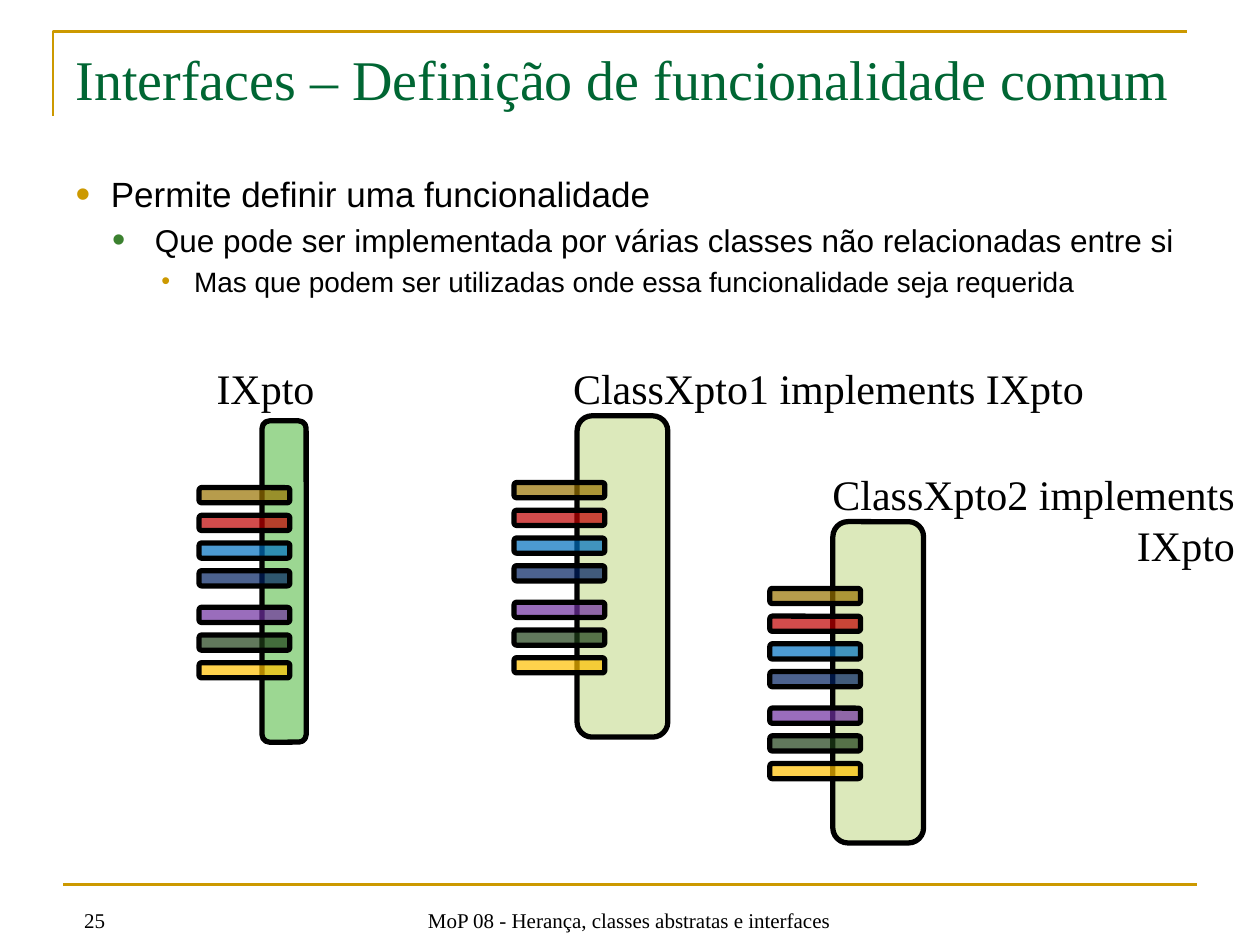
from lxml.etree import SubElement
from pptx import Presentation
from pptx.dml.color import RGBColor
from pptx.enum.shapes import MSO_CONNECTOR, MSO_SHAPE
from pptx.enum.text import MSO_ANCHOR, MSO_AUTO_SIZE, PP_ALIGN
from pptx.oxml.ns import qn
from pptx.util import Emu, Inches, Pt

SERIF, SANS = "Times New Roman", "Arial"
BLACK = RGBColor(0x00, 0x00, 0x00)
GOLD = RGBColor(0xCC, 0x99, 0x00)
TITLE_GREEN = RGBColor(0x00, 0x66, 0x33)
BULLET_GREEN = RGBColor(0x3B, 0x81, 0x2F)
INTERFACE_GREEN = RGBColor(0x73, 0xC7, 0x64)
CLASS_GREEN = RGBColor(0xCE, 0xE1, 0x9F)
METHOD_COLORS = [RGBColor.from_string(code) for code in (
    "997300", "C00000", "0070C0", "002060", "7030A0", "1E4018", "FFC000")]

# Method bars, measured from the top left corner of their block
BAR_WIDTH, BAR_HEIGHT = 0.72, 0.12
BAR_LEFT, BAR_TOP, BAR_PITCH = -0.5, 0.53, 0.22
GROUP_GAP, FIRST_GROUP = 0.07, 4

presentation = Presentation()
presentation.slide_width, presentation.slide_height = Inches(10), Inches(7.5)
slide = presentation.slides.add_slide(presentation.slide_layouts[1])


def place(part, box):
    part.left, part.top, part.width, part.height = (Inches(n) for n in box)


def write(frame, lines, size, color=BLACK, font=SERIF, align=PP_ALIGN.LEFT,
          anchor=MSO_ANCHOR.TOP, wrap=True):
    frame.text = "\n".join(lines)
    frame.auto_size = MSO_AUTO_SIZE.NONE
    frame.word_wrap = wrap
    frame.vertical_anchor = anchor
    for paragraph in frame.paragraphs:
        paragraph.alignment = align
        for run in paragraph.runs:
            run.font.size, run.font.name = Pt(size), font
            run.font.color.rgb = color


def add_label(box, lines, size=24, **style):
    label = slide.shapes.add_textbox(*(Inches(n) for n in box))
    write(label.text_frame, lines, size, **style)


def set_bullet(paragraph, left, hanging, color, percent):
    properties = paragraph._p.get_or_add_pPr()
    properties.set("marL", str(Inches(left)))
    properties.set("indent", str(-Inches(hanging)))
    bullet_color = SubElement(properties, qn("a:buClr"))
    SubElement(bullet_color, qn("a:srgbClr"), val=str(color))
    SubElement(properties, qn("a:buSzPct"), val=str(percent * 1000))
    SubElement(properties, qn("a:buFont"), typeface=SANS)
    SubElement(properties, qn("a:buChar"), char="•")


def add_frame(box):
    """Corner rule above the title."""
    left, top, width, height = (Inches(n) for n in box)
    builder = slide.shapes.build_freeform(left, top + height)
    builder.add_line_segments([(left, top), (left + width, top)], close=False)
    corner = builder.convert_to_shape()
    corner.shadow.inherit = False
    corner.fill.background()
    corner.line.color.rgb, corner.line.width = GOLD, Pt(1.5)


def add_footer(left, top, width):
    """Rule, page number and course name."""
    rule = slide.shapes.add_connector(
        MSO_CONNECTOR.STRAIGHT, Inches(left), Inches(top),
        Inches(left + width), Inches(top))
    rule.line.color.rgb, rule.line.width = GOLD, Pt(1.5)
    SubElement(rule._element.spPr, qn("a:effectLst"))
    add_label((left + 0.07, top + 0.13, 0.38, 0.3), ["25"], 12, wrap=False)
    add_label((left + 2.58, top + 0.08, 3.83, 0.35),
              ["MoP 08 - Herança, classes abstratas e interfaces"], 12,
              align=PP_ALIGN.CENTER, anchor=MSO_ANCHOR.BOTTOM)


def add_title(box):
    title = slide.shapes.title
    place(title, box)
    write(title.text_frame,
          ["Interfaces – Definição de funcionalidade comum"], 32, TITLE_GREEN)


def add_points(box):
    points = [
        ("Permite definir uma funcionalidade", 20, 0.28, 0.31, GOLD, 120),
        ("Que pode ser implementada por várias classes não relacionadas "
         "entre si", 18, 0.63, 0.34, BULLET_GREEN, 120),
        ("Mas que podem ser utilizadas onde essa funcionalidade seja "
         "requerida", 16, 0.94, 0.26, GOLD, 90),
    ]
    body = slide.placeholders[1]
    place(body, box)
    write(body.text_frame, [point[0] for point in points], 20, font=SANS)
    for level, (paragraph, point) in enumerate(
            zip(body.text_frame.paragraphs, points)):
        _, size, left, hanging, color, percent = point
        paragraph.level = level
        paragraph.space_before = Pt(size * 0.2)
        paragraph.runs[0].font.size = Pt(size)
        set_bullet(paragraph, left, hanging, color, percent)


def add_block(box, color):
    block = slide.shapes.add_shape(
        MSO_SHAPE.ROUNDED_RECTANGLE, *(Inches(n) for n in box))
    block.shadow.inherit = False
    block.fill.solid()
    block.fill.fore_color.rgb = color
    fill_color = block._element.spPr.find(".//" + qn("a:srgbClr"))
    SubElement(fill_color, qn("a:alpha"), val="70000")
    block.line.color.rgb, block.line.width = BLACK, Pt(3)


def add_type(left, top, width, color):
    """A type's block with the methods of the interface across its edge."""
    add_block((left, top, width, 2.55), color)
    for row, method_color in enumerate(METHOD_COLORS):
        gap = GROUP_GAP if row >= FIRST_GROUP else 0
        add_block((left + BAR_LEFT, top + BAR_TOP + row * BAR_PITCH + gap,
                   BAR_WIDTH, BAR_HEIGHT), method_color)


add_footer(0.5, 7.02, 9)
add_frame((0.42, 0.25, 9, 0.67))
add_title((0.5, 0.3, 9, 0.85))
add_points((0.5, 1.32, 9, 5.43))

# Two classes and the interface they share
add_type(4.58, 3.3, 0.72, CLASS_GREEN)
add_label((4.45, 2.83, 4.29, 0.5), ["ClassXpto1 implements IXpto"], wrap=False)
add_type(2.08, 3.34, 0.35, INTERFACE_GREEN)
add_label((1.62, 2.83, 0.99, 0.5), ["IXpto"], wrap=False)
add_type(6.61, 4.14, 0.72, CLASS_GREEN)
add_label((6.48, 3.67, 3.42, 0.91), ["ClassXpto2 implements", " IXpto"],
          align=PP_ALIGN.RIGHT, wrap=False)

presentation.save("out.pptx")
